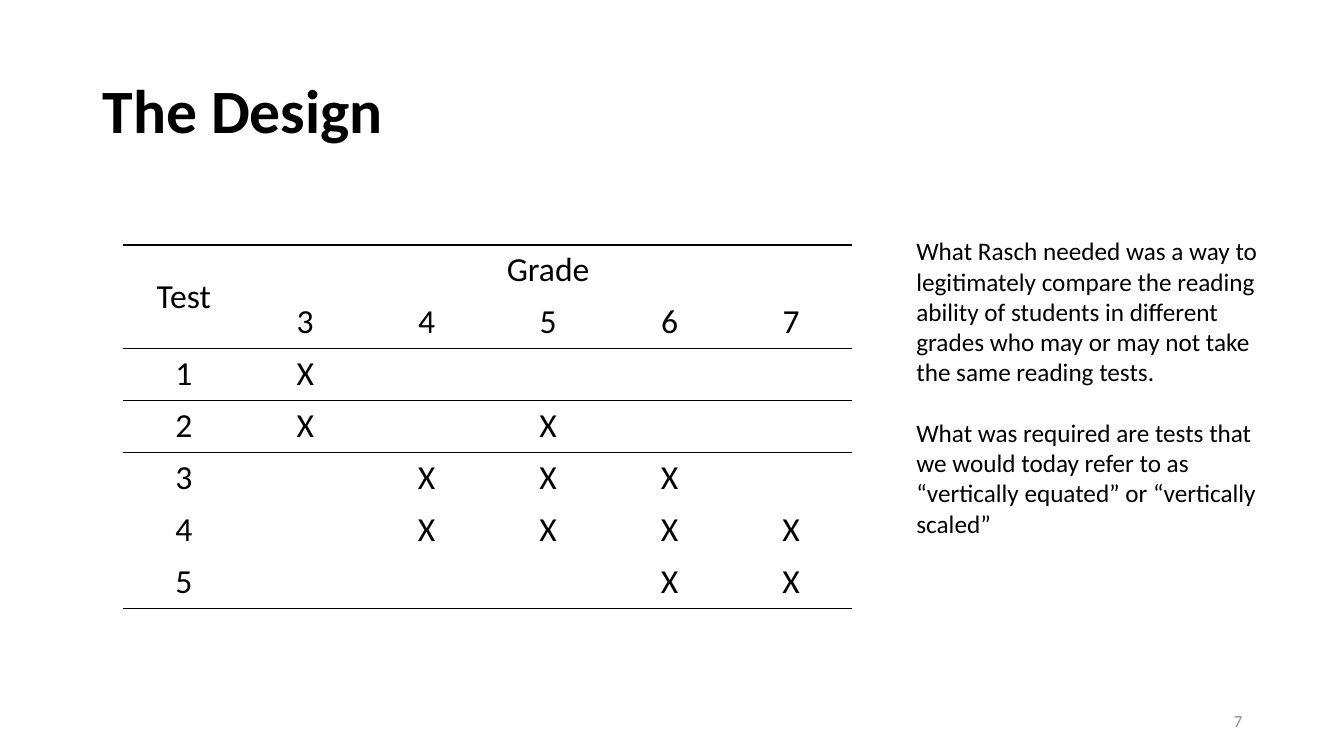
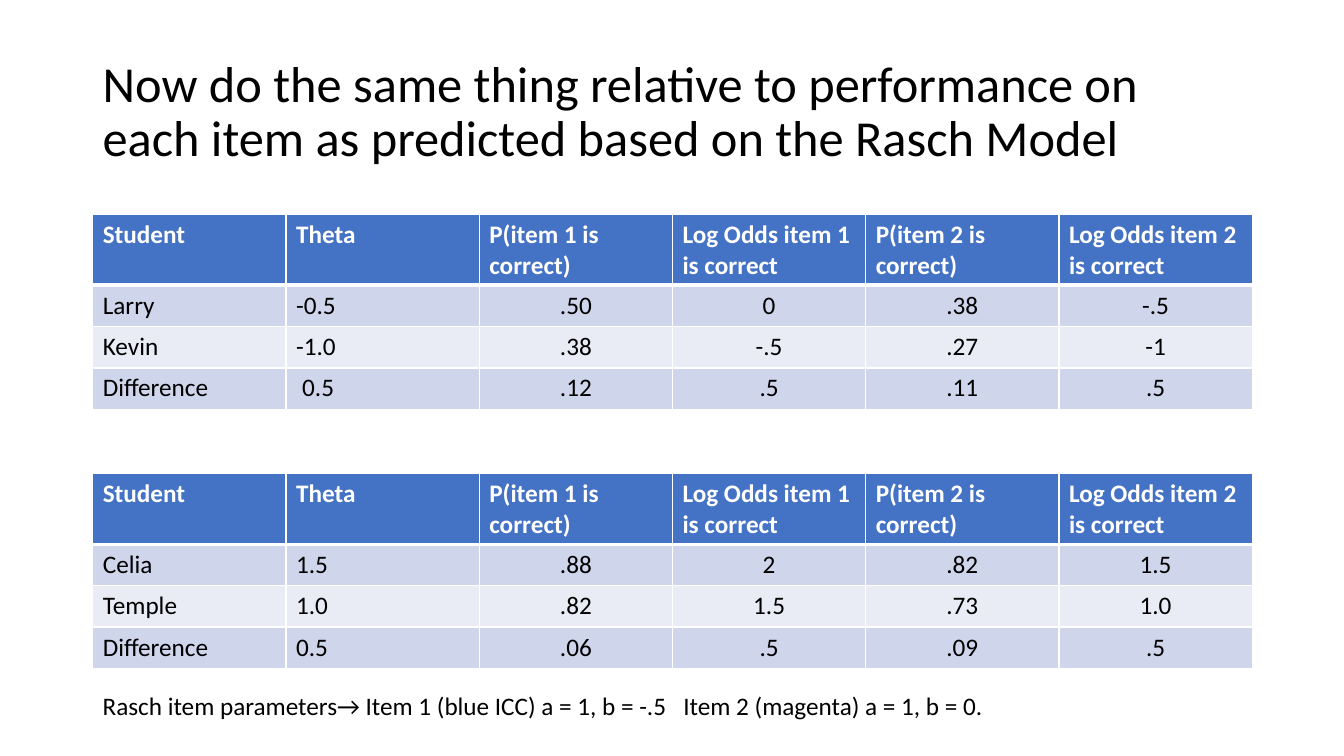
from dataclasses import dataclass

from lxml import etree
from pptx import Presentation
from pptx.dml.color import RGBColor as RGB
from pptx.enum.text import MSO_ANCHOR as Anchor, PP_ALIGN as Align
from pptx.oxml.ns import qn
from pptx.util import Inches, Pt


@dataclass(frozen=True)
class Theme:
    font: str = "Calibri"
    ink: str = "000000"
    paper: str = "FFFFFF"
    muted: str = "8C8C8C"
    header: str = "4472C4"
    bands: tuple = ("CFD5EA", "E9EBF5")
    headline: int = 44
    long_headline: int = 36
    design: int = 24
    body: int = 18
    footer: int = 12
    plain_table: str = "{2D5ABB26-0587-4C30-8999-92F81FD0307C}"


theme = Theme()


def write(frame, text, size=theme.body, color=theme.ink, bold=False,
          align=Align.LEFT, anchor=None, leading=None, gap=0, tab=None):
    frame.word_wrap = True
    if anchor is not None:
        frame.vertical_anchor = anchor
    for index, line in enumerate(text.split("\n")):
        paragraph = frame.paragraphs[0] if index == 0 else frame.add_paragraph()
        paragraph.alignment = align
        if leading:
            paragraph.line_spacing = leading
        if index and gap:
            paragraph.space_before = Pt(gap)
        if tab:
            stops = etree.SubElement(paragraph._p.get_or_add_pPr(), qn("a:tabLst"))
            etree.SubElement(stops, qn("a:tab"), pos=str(tab), algn="l")
        run = paragraph.add_run()
        run.text = line
        run.font.name = theme.font
        run.font.size = Pt(size)
        run.font.bold = bold
        run.font.color.rgb = RGB.from_string(color)


def rule(cell, color, **widths):
    properties = cell._tc.get_or_add_tcPr()
    for side in "LRTB":
        if side in widths:
            line = etree.SubElement(properties, qn(f"a:ln{side}"), w=str(Pt(widths[side])))
            fill = etree.SubElement(line, qn("a:solidFill"))
            etree.SubElement(fill, qn("a:srgbClr"), val=color)


deck = Presentation()
deck.slide_width, deck.slide_height = Inches(13.33), Inches(7.5)

slides = []
for headline, size, bold in (
    ("The Design", theme.headline, True),
    ("Now do the same thing relative to performance on each item "
     "as predicted based on the Rasch Model", theme.long_headline, False),
):
    slide = deck.slides.add_slide(deck.slide_layouts[6])
    title = slide.shapes.add_textbox(Inches(0.92), Inches(0.4), Inches(11.5), Inches(1.45))
    write(title.text_frame, headline, size=size, bold=bold, anchor=Anchor.MIDDLE, leading=0.9)
    slides.append(slide)
design_slide, odds_slide = slides

grades = "34567"
grades_by_test = {"1": "3", "2": "35", "3": "456", "4": "4567", "5": "67"}
design_rows = [["Test", "Grade", "", "", "", ""], ["", *grades]]
for test, taken in grades_by_test.items():
    design_rows.append([test] + ["X" if grade in taken else "" for grade in grades])

design = design_slide.shapes.add_table(
    len(design_rows), 6, Inches(1.22), Inches(2.43), Inches(7.23), Inches(3.61)).table
design._tbl.tblPr.find(qn("a:tableStyleId")).text = theme.plain_table
design.first_row = design.horz_banding = False
design.cell(0, 0).merge(design.cell(1, 0))
design.cell(0, 1).merge(design.cell(0, 5))
ruled_edges = {0: {"T": 1}, 1: {"B": 1}, 2: {"T": 1, "B": 1}, 3: {"T": 1}, 6: {"B": 1}}
for r, values in enumerate(design_rows):
    design.rows[r].height = Inches(3.61 / len(design_rows))
    for c, value in enumerate(values):
        cell = design.cell(r, c)
        rule(cell, theme.ink, **ruled_edges.get(r, {}))
        cell.fill.background()
        if value:
            write(cell.text_frame, value, size=theme.design, align=Align.CENTER)
design.cell(0, 0).vertical_anchor = Anchor.MIDDLE

page = design_slide.shapes.add_textbox(Inches(9.42), Inches(6.95), Inches(3), Inches(0.4))
write(page.text_frame, "7", size=theme.footer, color=theme.muted,
      align=Align.RIGHT, anchor=Anchor.MIDDLE)

need = design_slide.shapes.add_textbox(Inches(8.99), Inches(2.29), Inches(3.85), Inches(3.43))
write(need.text_frame,
      "What Rasch needed was a way to legitimately compare the reading ability of students "
      "in different grades who may or may not take the same reading tests.\n"
      "What was required are tests that we would today refer to as "
      "“vertically equated” or “vertically scaled”", gap=21.6)

odds_header = ["Student", "Theta", "P(item 1 is correct)", "Log Odds item 1 is correct",
               "P(item 2 is correct)", "Log Odds item 2 is correct"]
comparisons = (
    (2.13, 0.06, [["Larry", "-0.5", ".50", "0", ".38", "-.5"],
                  ["Kevin", "-1.0", ".38", "-.5", ".27", "-1"],
                  ["Difference", "0.5", ".12", ".5", ".11", ".5"]]),
    (4.7, 0, [["Celia", "1.5", ".88", "2", ".82", "1.5"],
              ["Temple", "1.0", ".82", "1.5", ".73", "1.0"],
              ["Difference", "0.5", ".06", ".5", ".09", ".5"]]),
)
for top, sign_gap, students in comparisons:
    odds = odds_slide.shapes.add_table(
        4, 6, Inches(0.92), Inches(top), Inches(11.5), Inches(1.92)).table
    odds._tbl.tblPr.find(qn("a:tableStyleId")).text = theme.plain_table
    for r, values in enumerate([odds_header, *students]):
        is_header = r == 0
        odds.rows[r].height = Inches(0.7 if is_header else 0.41)
        for c, value in enumerate(values):
            cell = odds.cell(r, c)
            rule(cell, theme.paper, L=1, R=1, T=3 if r == 1 else 1, B=3 if is_header else 1)
            cell.fill.solid()
            shade = theme.header if is_header else theme.bands[(r - 1) % 2]
            cell.fill.fore_color.rgb = RGB.from_string(shade)
            write(cell.text_frame, value, bold=is_header,
                  color=theme.paper if is_header else theme.ink,
                  align=Align.LEFT if is_header or c < 2 else Align.CENTER)
    odds.cell(3, 1).margin_left = Inches(0.1 + sign_gap)

parameters = odds_slide.shapes.add_textbox(Inches(0.92), Inches(6.8), Inches(9.53), Inches(0.4))
write(parameters.text_frame,
      "Rasch item parameters→ Item 1 (blue ICC) a = 1, b = -.5\tItem 2 (magenta) a = 1, b = 0.",
      tab=Inches(5.76))

deck.save("out.pptx")
